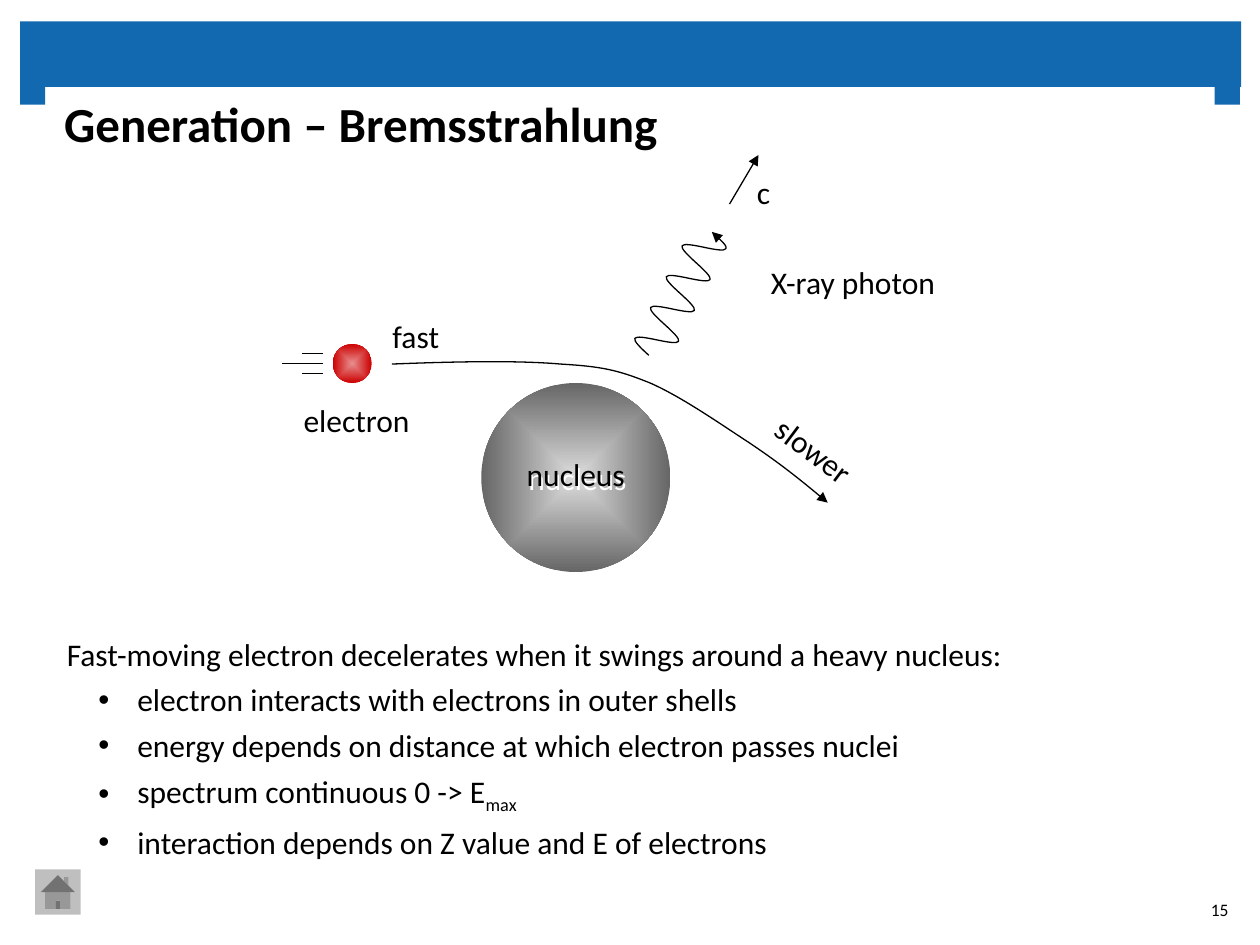
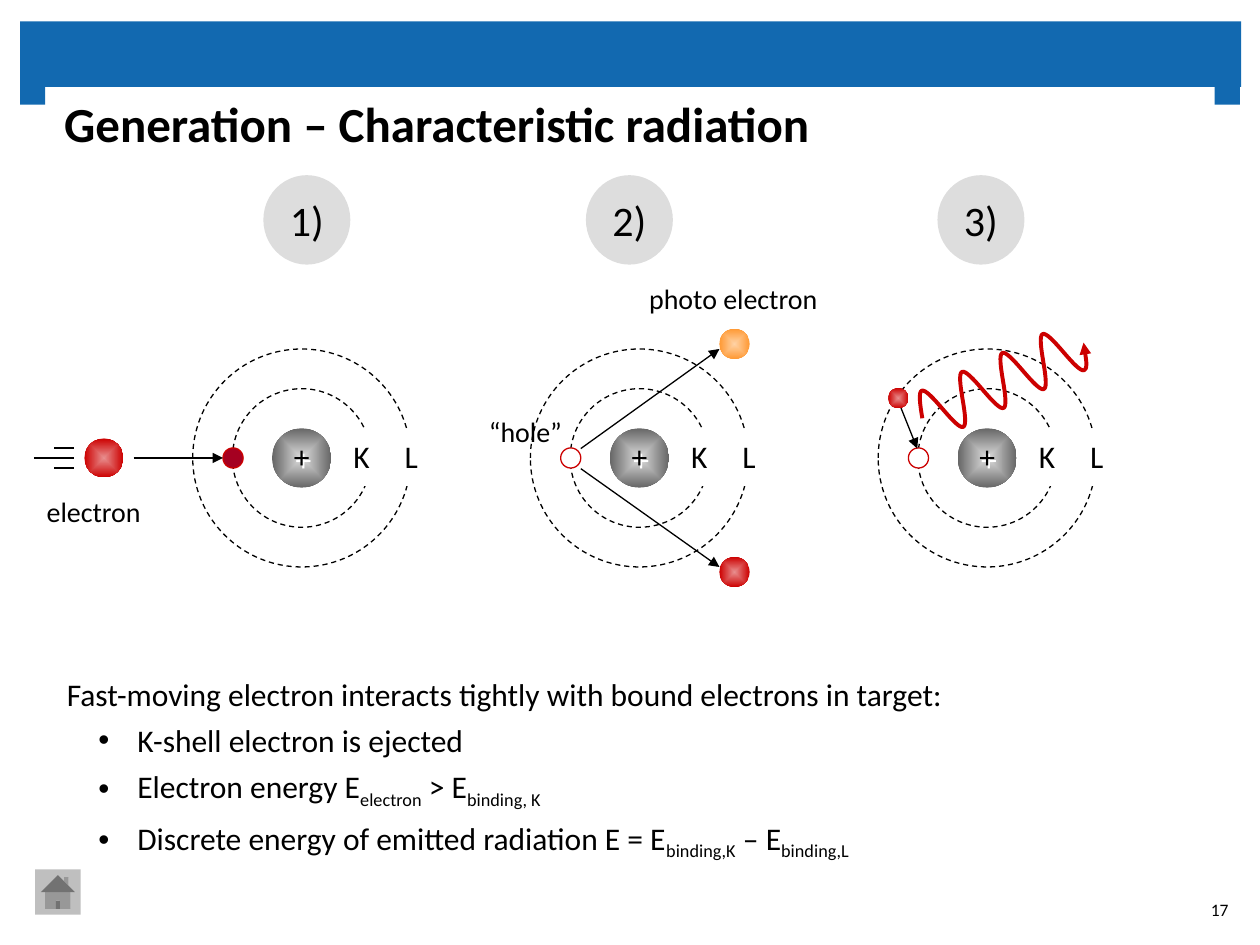
from math import hypot
from typing import NamedTuple

from lxml.etree import SubElement
from pptx import Presentation
from pptx.dml.color import RGBColor
from pptx.enum.dml import MSO_LINE
from pptx.enum.shapes import MSO_CONNECTOR, MSO_SHAPE as Kind
from pptx.enum.text import MSO_ANCHOR as Anchor, PP_ALIGN as Align
from pptx.oxml.ns import qn
from pptx.util import Emu, Inches, Pt

# The slide is a grid of 100 columns by 75 rows of square cells
COLUMNS, ROWS = 100, 75
CELL = Inches(0.1)

FONT = "Calibri"
BLACK, WHITE, BAND = "000000", "FFFFFF", "1269B0"
RED, DARK_RED, BADGE, BUTTON = "CC0000", "A50021", "DDDDDD", "BFBFBF"
NUCLEUS = ("DDDDDD", "666666")
ELECTRON = ("E88E8E", RED)
PHOTO_ELECTRON = ("FFD2A5", "FF9933")


class Box(NamedTuple):
    left: float
    top: float
    width: float
    height: float

    def inner(self, left, top, width, height):
        return Box(self.left + left, self.top + top, width, height)

    def point(self, column, row):
        return self.left + column, self.top + row


def emu(values):
    return [Emu(round(value * CELL)) for value in values]


def color(hex_string):
    return RGBColor.from_string(hex_string)


def set_all(target, **formats):
    for name, value in formats.items():
        setattr(target, name, value)


# ---- Drawing helpers ----

def style_line(shape, line=BLACK, weight=0.75, arrow=False, dash=None):
    shape.line.color.rgb = color(line)
    set_all(shape.line, width=Pt(weight), dash_style=dash)
    if arrow:
        SubElement(shape.line._get_or_add_ln(), qn("a:tailEnd"), type="triangle")


def fill_radial(shape, inner, outer):
    shape.fill.gradient()
    for stop, tone in zip(shape.fill.gradient_stops, (inner, outer)):
        stop.color.rgb = color(tone)
    gradient = shape._element.spPr.find(qn("a:gradFill"))
    gradient.remove(gradient.find(qn("a:lin")))
    radial = SubElement(gradient, qn("a:path"), {"path": "shape"})
    SubElement(radial, qn("a:fillToRect"),
               {side: "50000" for side in "ltrb"})


def add_figure(page, kind, box, fill=None, line=None, **line_format):
    """A preset shape; a pair of colours as fill gives a radial gradient."""
    shape = page.shapes.add_shape(kind, *emu(box))
    shape.shadow.inherit = False
    if fill is None:
        shape.fill.background()
    elif isinstance(fill, tuple):
        fill_radial(shape, *fill)
    else:
        shape.fill.solid()
        shape.fill.fore_color.rgb = color(fill)
    if line:
        style_line(shape, line, **line_format)
    else:
        shape.line.fill.background()
    return shape


def add_line(page, start, end, **line_format):
    connector = page.shapes.add_connector(
        MSO_CONNECTOR.STRAIGHT, *emu(start + end))
    style_line(connector, **line_format)
    SubElement(connector._element.spPr, qn("a:effectLst"))


def add_curve(page, points, **line_format):
    """A chain of Bezier segments: a start, then three points for each one."""
    start, *others = [emu(point) for point in points]
    builder = page.shapes.build_freeform(*start, scale=1.0)
    builder.add_line_segments(others, close=False)
    shape = builder.convert_to_shape()
    outline = next(shape._element.iter(qn("a:path")))
    straights = outline.findall(qn("a:lnTo"))
    for first in range(0, len(straights), 3):
        bezier = SubElement(outline, qn("a:cubicBezTo"))
        for straight in straights[first:first + 3]:
            bezier.append(straight[0])
            outline.remove(straight)
    shape.fill.background()
    shape.shadow.inherit = False
    style_line(shape, **line_format)


def add_wave(page, start, step, height, periods=4, **line_format):
    """A wave whose periods each advance by step and swing by height."""
    length = hypot(*step)
    normal = step[1] / length, -step[0] / length
    swing = [0.53, 1, 1, 1, 0.53, 0]
    points = [start]
    for period in range(periods):
        for index, share in enumerate(swing + [-share for share in swing], 1):
            along = period + index / 12
            points.append(tuple(
                origin + along * move + share * height * across
                for origin, move, across in zip(start, step, normal)))
    add_curve(page, points, arrow=True, **line_format)


def cast_white_shadow(shape):
    shape.shadow.inherit = False
    effects = shape._element.spPr.find(qn("a:effectLst"))
    shadow = SubElement(effects, qn("a:outerShdw"), dist=str(Pt(2.2)),
                        dir=str(63 * 60000), algn="ctr", rotWithShape="0")
    SubElement(shadow, qn("a:srgbClr"), val=WHITE)


def open_frame(shape, anchor=Anchor.MIDDLE):
    frame = shape.text_frame
    set_all(frame, word_wrap=True, vertical_anchor=anchor, margin_left=0,
            margin_right=0, margin_top=0, margin_bottom=0)
    return frame


def write(shape, text, size=18, align=Align.CENTER, bold=False, **frame_format):
    para = open_frame(shape, **frame_format).paragraphs[0]
    set_all(para, text=text, alignment=align)
    set_all(para.font, name=FONT, size=Pt(size), bold=bold)
    para.font.color.rgb = color(BLACK)


def add_label(page, box, text, **text_format):
    label = page.shapes.add_textbox(*emu(box))
    write(label, text, **text_format)
    return label


# ---- Regions shared by the slides ----

def add_page(deck, title, number):
    page = deck.slides.add_slide(deck.slide_layouts[6])
    area = Box(0, 0, COLUMNS, ROWS)
    # Band with its two hanging corners
    for part in ((1.6, 1.7, 96.9, 5.2), (1.6, 6.5, 2, 1.8), (96.4, 6.5, 2, 1.8)):
        add_figure(page, Kind.RECTANGLE, area.inner(*part), BAND)
    add_label(page, area.inner(5.1, 7.4, 89.7, 5.8), title, size=28,
              align=Align.LEFT, bold=True, anchor=Anchor.TOP)
    # Footer
    add_label(page, area.inner(94.2, 70.2, 3.3, 4), number, size=10,
              align=Align.RIGHT)
    add_figure(page, Kind.ACTION_BUTTON_HOME, area.inner(2.8, 69, 3.6, 3.6), BUTTON)
    return page


def add_summary(page, box, lead, points):
    """A lead line and bullets; parts between bars are subscripts."""
    frame = open_frame(page.shapes.add_textbox(*emu(box)), Anchor.TOP)
    for index, line in enumerate([lead] + points):
        para = frame.add_paragraph() if index else frame.paragraphs[0]
        if index:
            properties = para._p.get_or_add_pPr()
            properties.set("marL", str(Inches(0.56)))
            properties.set("indent", str(Inches(-0.31)))
            SubElement(properties, qn("a:buFont"), typeface="Arial")
            SubElement(properties, qn("a:buChar"), char="•")
        para.line_spacing = 1.2
        set_all(para.font, name=FONT, size=Pt(18))
        for place, piece in enumerate(line.split("|")):
            if not piece:
                continue
            span = para.add_run()
            span.text = piece
            set_all(span.font, name=FONT, size=Pt(18))
            span.font.color.rgb = color(BLACK)
            if place % 2:
                span.font._element.set("baseline", "-25000")


def add_moving_electron(page, box):
    add_figure(page, Kind.OVAL, box, ELECTRON)
    for tail, row in ((-2.4, 0.75), (-4, 1.55), (-2.4, 2.35)):
        add_line(page, box.point(tail, row), box.point(-0.8, row))


# ---- Bremsstrahlung ----

def add_deflection(page, box):
    # Nucleus
    add_figure(page, Kind.OVAL, box.inner(18.2, 18.4, 15, 15), NUCLEUS)
    cast_white_shadow(add_label(page, box.inner(14.3, 23.5, 22.8, 4.3), "nucleus"))
    # Electron and its track
    add_moving_electron(page, box.inner(6.4, 15.3, 3.1, 3.1))
    track = [(11.1, 16.9),
             (16.1, 16.7), (21.1, 16.6), (24.5, 16.9),
             (27.9, 17.1), (29.1, 17.4), (31.6, 18.4),
             (34.1, 19.5), (37.1, 21.6), (39.4, 23.1),
             (41.8, 24.7), (43.8, 26.3), (45.7, 27.9)]
    add_curve(page, [box.point(*spot) for spot in track], arrow=True)
    # Photon
    add_wave(page, box.point(31.5, 16.2), (1.25, -2.45), 1.6)
    add_line(page, box.point(37.9, 4.2), box.point(40.2, 0.3), arrow=True)
    # Labels
    for text, left, top, turn in (
            ("electron", -3.1, 19.2, 0), ("fast", 1.6, 12.5, 0),
            ("slower", 33.2, 21.6, 36.9), ("X-ray photon", 36.3, 8.2, 0),
            ("c", 29.2, 1.1, 0)):
        label = add_label(page, box.inner(left, top, 22.8, 4.3), text)
        label.rotation = turn


# ---- Characteristic radiation ----

def add_atom(page, box):
    add_figure(page, Kind.OVAL, box.inner(6.3, 6.3, 4.7, 4.7), NUCLEUS)
    for orbit in (box.inner(3.15, 3.15, 11, 11), box):
        add_figure(page, Kind.OVAL, orbit, line=BLACK, dash=MSO_LINE.DASH)
    cast_white_shadow(add_label(page, box.inner(3.15, 6.3, 11, 4.3), "+"))
    for shell, left in (("K", 11.05), ("L", 15)):
        tag = add_figure(page, Kind.RECTANGLE, box.inner(left, 6.3, 4.7, 4.3), WHITE)
        write(tag, shell)
        cast_white_shadow(tag)


def add_shell_spot(page, box, fill):
    add_figure(page, Kind.OVAL, box.inner(2.4, 7.85, 1.6, 1.6), fill, RED)


def add_impact(page, box):
    add_moving_electron(page, box.inner(-8.6, 7.1, 3.1, 3.1))
    add_shell_spot(page, box, DARK_RED)
    add_line(page, box.point(-4.7, 8.65), box.point(2.4, 8.65), arrow=True)
    add_label(page, box.inner(-11.6, 11, 20.8, 3.7), "electron", size=16,
              align=Align.LEFT)


def add_ejection(page, box):
    add_shell_spot(page, box, WHITE)
    for start, end, ball, fill in ((7.9, 0, -1.6, PHOTO_ELECTRON),
                                   (9.5, 17.3, 16.5, ELECTRON)):
        add_line(page, box.point(4, start), box.point(15, end), arrow=True)
        add_figure(page, Kind.OVAL, box.inner(15, ball, 2.4, 2.4), fill)
    for text, left, top in (("photo electron", 4.7, -5.9), ("“hole”", -11.8, 4.7)):
        add_label(page, box.inner(left, top, 22.8, 3.7), text, size=16)


def add_emission(page, box):
    add_shell_spot(page, box, WHITE)
    add_line(page, box.point(1.5, 3.9), box.point(3.1, 7.9), arrow=True)
    add_figure(page, Kind.OVAL, box.inner(0.8, 3.1, 1.6, 1.6), ELECTRON)
    add_wave(page, box.point(3.5, 5.5), (3.2, -1.5), 2, line=RED, weight=2.25)


def add_steps(page, box):
    steps = ((0, 5.6, add_impact), (26.8, 4.4, add_ejection),
             (54.4, 4.7, add_emission))
    for number, (left, badge_left, add_event) in enumerate(steps, 1):
        cell = box.inner(left, 13.8, 17.3, 17.3)
        add_atom(page, cell)
        add_event(page, cell)
        badge = add_figure(page, Kind.OVAL,
                           box.inner(left + badge_left, 0, 6.9, 7.1), BADGE)
        write(badge, f"{number})", size=24)
        cast_white_shadow(badge)


def main():
    deck = Presentation()
    set_all(deck, slide_width=COLUMNS * CELL, slide_height=ROWS * CELL)

    page = add_page(deck, "Generation – Bremsstrahlung", "15")
    add_deflection(page, Box(20, 12, 60, 34))
    add_summary(
        page, Box(5.3, 49.8, 90.1, 18.4),
        "Fast-moving electron decelerates when it swings around a heavy nucleus:",
        ["electron interacts with electrons in outer shells",
         "energy depends on distance at which electron passes nuclei",
         "spectrum continuous 0 -> E|max|",
         "interaction depends on Z value and E of electrons"])

    page = add_page(deck, "Generation – Characteristic radiation", "17")
    add_steps(page, Box(15.3, 13.9, 74, 33))
    add_summary(
        page, Box(5.3, 53, 90.1, 14.8),
        "Fast-moving electron interacts tightly with bound electrons in target:",
        ["K-shell electron is ejected",
         "Electron energy E|electron| > E|binding, K|",
         "Discrete energy of emitted radiation E = E|binding,K| – E|binding,L|"])

    deck.save("out.pptx")


if __name__ == "__main__":
    main()
